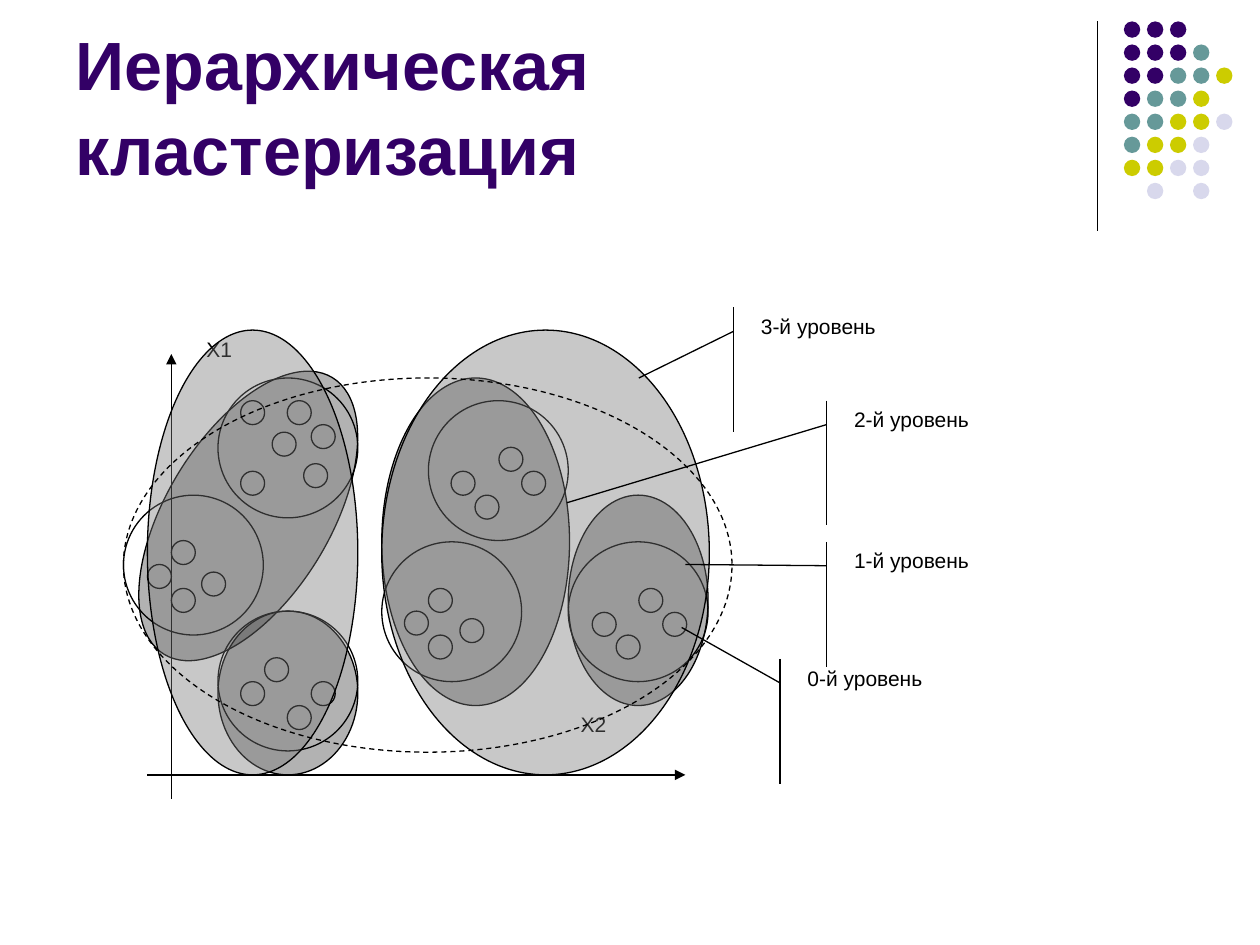
import pptx
import pptx.dml.color
import pptx.enum.dml
import pptx.enum.shapes
import pptx.enum.text
import pptx.oxml
import pptx.oxml.ns
import pptx.util

Inches = pptx.util.Inches
SHAPES = pptx.enum.shapes.MSO_SHAPE
ANCHORS = pptx.enum.text.MSO_ANCHOR
NAMESPACE = pptx.oxml.ns.nsdecls("a")

BLACK, WHITE, GRAY, PURPLE = "000000", "FFFFFF", "777777", "330066"
LABEL_FONT = {"name": "Arial", "size": pptx.util.Pt(12), "bold": False}
TITLE_FONT = {"name": "Arial", "size": pptx.util.Pt(39), "bold": True}

# Corner ornament: one letter per dot, a space where a dot is missing
DOT_COLORS = {"P": PURPLE, "T": "669999", "Y": "CCCC00", "L": "D8D8EC"}
DOT_ROWS = ["PPP", "PPPT", "PPTTY", "PTTY", "TTYYL", "TYYL", "YYLL", " L L"]
DOT_SIZE, DOT_STEP = 0.13, 0.183

# Each first-level cluster: left and top of its ring, then of its points
POINT_SIZE, RING_SIZE = 0.19, 1.11
CLUSTERS = [
    ((1.73, 3.00), [(1.91, 3.18), (2.16, 3.43), (1.91, 3.74), (2.47, 3.37), (2.28, 3.18), (2.41, 3.68)]),
    ((3.40, 3.18), [(3.96, 3.55), (3.77, 3.93), (4.14, 3.74), (3.58, 3.74)]),
    ((3.03, 4.30), [(3.21, 4.85), (3.40, 5.04), (3.40, 4.67), (3.65, 4.91)]),
    ((1.73, 4.85), [(2.28, 5.60), (2.10, 5.22), (2.47, 5.41), (1.91, 5.41)]),
    ((4.51, 4.30), [(5.07, 4.67), (4.89, 5.04), (5.26, 4.86), (4.70, 4.86)]),
    ((0.98, 3.93), [(1.17, 4.48), (1.36, 4.67), (1.36, 4.29), (1.60, 4.54)]),
]

# Higher levels: box, fill, opacity in percent, rotation
HIGHER_CLUSTERS = [
    ((3.03, 3.00, 1.49, 2.60), BLACK, 30, 0),
    ((4.51, 3.93, 1.11, 1.67), BLACK, 30, 0),
    ((1.32, 2.81, 1.30, 2.57), BLACK, 30, 31.3),
    ((1.73, 4.85, 1.11, 1.30), BLACK, 30, 0),
    ((1.17, 2.62, 1.67, 3.53), GRAY, 40, 0),
    ((3.03, 2.62, 2.60, 3.53), GRAY, 40, 0),
]

# Level callouts: text, left and top of the box, point the leader reaches
CALLOUTS = [
    ("0-й уровень", (6.31, 5.23), (5.41, 4.98)),
    ("1-й уровень", (6.68, 4.30), (5.44, 4.48)),
    ("3-й уровень", (5.94, 2.44), (5.07, 3.00)),
    ("2-й уровень", (6.68, 3.18), (4.50, 3.99)),
]
CALLOUT_WIDTH, CALLOUT_HEIGHT = 1.49, 0.99
BAR_GAP, LEADER_DROP = 0.12, 0.19


def color(hex_string):
    return pptx.dml.color.RGBColor.from_string(hex_string)


def set_attributes(target, values):
    for name, value in values.items():
        setattr(target, name, value)


def write_text(shape, text, font_values, text_color, anchor):
    frame = shape.text_frame
    set_attributes(frame, {
        "text": text, "word_wrap": True, "vertical_anchor": anchor,
        "auto_size": pptx.enum.text.MSO_AUTO_SIZE.NONE,
    })
    paragraph = frame.paragraphs[0]
    paragraph.alignment = pptx.enum.text.PP_ALIGN.LEFT
    set_attributes(paragraph.font, font_values)
    paragraph.font.color.rgb = color(text_color)
    return paragraph


def style_line(line):
    line.color.rgb = color(BLACK)
    line.width = pptx.util.Pt(0.75)


def add_shape(shapes, kind, box, fill=None, opacity=100, outlined=True):
    shape = shapes.add_shape(kind, *map(Inches, box))
    shape.shadow.inherit = False
    if fill:
        shape.fill.solid()
        shape.fill.fore_color.rgb = color(fill)
    else:
        shape.fill.background()
    if opacity < 100:
        fill_color = shape.fill._xPr.find(".//" + pptx.oxml.ns.qn("a:srgbClr"))
        fill_color.append(pptx.oxml.parse_xml(f'<a:alpha {NAMESPACE} val="{opacity * 1000}"/>'))
    if outlined:
        style_line(shape.line)
    else:
        shape.line.fill.background()
    return shape


def add_line(shapes, start, end, arrow=False):
    connector = shapes.add_connector(
        pptx.enum.shapes.MSO_CONNECTOR.STRAIGHT, *map(Inches, start + end))
    style_line(connector.line)
    if arrow:
        connector.line._get_or_add_ln().append(
            pptx.oxml.parse_xml(f'<a:tailEnd {NAMESPACE} type="triangle"/>'))
    connector._element.spPr.append(pptx.oxml.parse_xml(f"<a:effectLst {NAMESPACE}/>"))


def add_axis_label(shapes, text, box):
    label = shapes.add_textbox(*map(Inches, box))
    write_text(label, text, LABEL_FONT, BLACK, ANCHORS.TOP)


def add_callout(shapes, text, corner, target):
    left, top = corner
    callout = add_shape(shapes, SHAPES.LINE_CALLOUT_1_ACCENT_BAR,
                        (left, top, CALLOUT_WIDTH, CALLOUT_HEIGHT), WHITE)
    # Leader start (y, x), then leader end (y, x), as shares of the box
    adjustments = (LEADER_DROP / CALLOUT_HEIGHT, -BAR_GAP / CALLOUT_WIDTH,
                   (target[1] - top) / CALLOUT_HEIGHT, (target[0] - left) / CALLOUT_WIDTH)
    for index, value in enumerate(adjustments):
        callout.adjustments[index] = value
    write_text(callout, text, LABEL_FONT, BLACK, ANCHORS.TOP)


def add_title(slide, text):
    title = slide.shapes.title
    set_attributes(title, {"left": Inches(0.5), "top": Inches(0.13),
                           "width": Inches(8.25), "height": Inches(1.42)})
    paragraph = write_text(title, text, TITLE_FONT, PURPLE, ANCHORS.BOTTOM)
    paragraph.line_spacing = 1.04


def add_ornament(slide):
    add_line(slide.shapes, (8.71, 0.17), (8.71, 1.83))
    dots = slide.shapes.add_group_shape().shapes
    for row, letters in enumerate(DOT_ROWS):
        for column, letter in enumerate(letters):
            if letter in DOT_COLORS:
                box = (8.92 + column * DOT_STEP, 0.17 + row * DOT_STEP, DOT_SIZE, DOT_SIZE)
                add_shape(dots, SHAPES.OVAL, box, DOT_COLORS[letter], outlined=False)


def add_diagram(slide):
    shapes = slide.shapes.add_group_shape().shapes
    # Axes
    add_line(shapes, (1.36, 6.34), (1.36, 2.81), arrow=True)
    add_line(shapes, (1.17, 6.15), (5.44, 6.15), arrow=True)
    # Points and first-level rings
    for ring, points in CLUSTERS:
        for point in points:
            add_shape(shapes, SHAPES.OVAL, point + (POINT_SIZE, POINT_SIZE), WHITE)
        add_shape(shapes, SHAPES.OVAL, ring + (RING_SIZE, RING_SIZE))
    add_axis_label(shapes, "Х1", (1.54, 2.62, 0.93, 0.56))
    add_axis_label(shapes, "Х2", (4.51, 5.6, 1.11, 0.56))
    # Higher-level clusters and the dashed outline
    for box, fill, opacity, rotation in HIGHER_CLUSTERS:
        add_shape(shapes, SHAPES.OVAL, box, fill, opacity).rotation = rotation
    outline = add_shape(shapes, SHAPES.OVAL, (0.98, 3, 4.83, 2.97))
    outline.line.dash_style = pptx.enum.dml.MSO_LINE.DASH
    # Level names
    for text, corner, target in CALLOUTS:
        add_callout(shapes, text, corner, target)


def main():
    presentation = pptx.Presentation()
    presentation.slide_width = Inches(10)
    presentation.slide_height = Inches(7.5)
    slide = presentation.slides.add_slide(presentation.slide_layouts[5])
    add_ornament(slide)
    add_title(slide, "Иерархическая кластеризация")
    add_diagram(slide)
    presentation.save("out.pptx")


if __name__ == "__main__":
    main()
